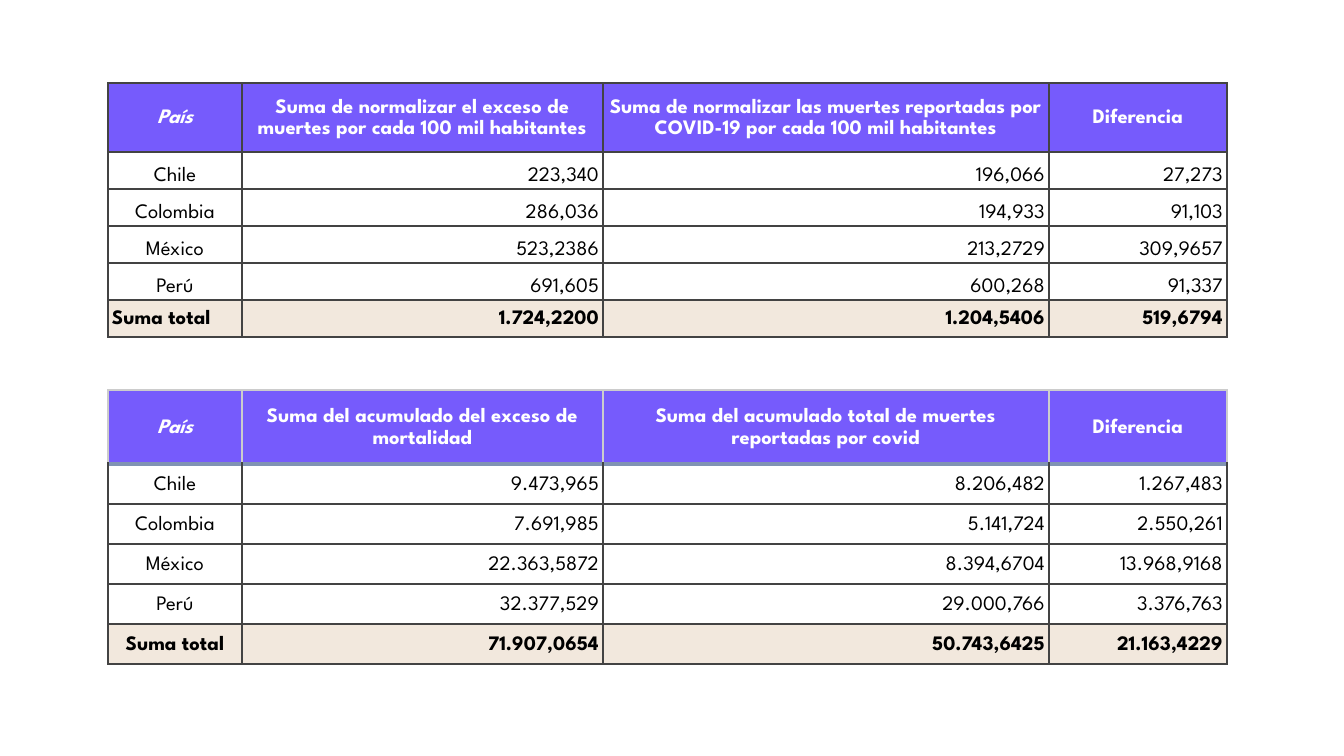
"""Build a slide with two tables comparing excess mortality and reported COVID-19 deaths."""
from dataclasses import dataclass

from lxml import etree
from pptx import Presentation
from pptx.dml.color import RGBColor
from pptx.enum.text import MSO_ANCHOR, PP_ALIGN
from pptx.oxml.ns import qn
from pptx.slide import Slide
from pptx.table import _Cell
from pptx.util import Emu, Pt

LEFT, CENTER, RIGHT = PP_ALIGN.LEFT, PP_ALIGN.CENTER, PP_ALIGN.RIGHT
MIDDLE, BOTTOM = MSO_ANCHOR.MIDDLE, MSO_ANCHOR.BOTTOM
EMU_PER_PX = 9144000 / 1344
SLIDE_W, SLIDE_H = 1344, 756
TABLE_X = 108
COL_WIDTHS = (134, 361, 446, 178)
INSET_X, INSET_Y = 4, 3


@dataclass(frozen=True)
class Theme:
    font: str = "League Spartan"
    size: int = 11
    line_spacing: float = 1.15
    header: str = "765BFC"
    header_text: str = "FFFFFF"
    body: str = "FFFFFF"
    total: str = "F2E8DD"
    text: str = "000000"
    grid: str = "434343"
    light_grid: str = "CCCCCC"
    divider: str = "8093B3"


@dataclass(frozen=True)
class Border:
    color: str
    width: int = 1


@dataclass(frozen=True)
class CountryTable:
    y: int
    header_h: int
    row_h: int
    rows: tuple[tuple[str, ...], ...]
    header_border: Border
    divider: Border
    body_anchor: MSO_ANCHOR
    total_align: PP_ALIGN


THEME = Theme()
GRID = Border(THEME.grid)
ACCUMULATED = CountryTable(
    y=390, header_h=74, row_h=40,
    rows=(
        ("País", "Suma del acumulado del exceso de mortalidad",
         "Suma del acumulado total de muertes reportadas por covid", "Diferencia"),
        ("Chile", "9.473,965", "8.206,482", "1.267,483"),
        ("Colombia", "7.691,985", "5.141,724", "2.550,261"),
        ("México", "22.363,5872", "8.394,6704", "13.968,9168"),
        ("Perú", "32.377,529", "29.000,766", "3.376,763"),
        ("Suma total", "71.907,0654", "50.743,6425", "21.163,4229"),
    ),
    header_border=Border(THEME.light_grid), divider=Border(THEME.divider, 2),
    body_anchor=MIDDLE, total_align=CENTER,
)
NORMALIZED = CountryTable(
    y=83, header_h=69, row_h=37,
    rows=(
        ("País", "Suma de normalizar el exceso de muertes por cada 100 mil habitantes",
         "Suma de normalizar las muertes reportadas por COVID-19 por cada 100 mil habitantes",
         "Diferencia"),
        ("Chile", "223,340", "196,066", "27,273"),
        ("Colombia", "286,036", "194,933", "91,103"),
        ("México", "523,2386", "213,2729", "309,9657"),
        ("Perú", "691,605", "600,268", "91,337"),
        ("Suma total", "1.724,2200", "1.204,5406", "519,6794"),
    ),
    header_border=GRID, divider=GRID,
    body_anchor=BOTTOM, total_align=LEFT,
)


def px(n: int) -> Emu:
    """Turn px into EMU."""
    return Emu(round(n * EMU_PER_PX))


def set_borders(cell: _Cell, sides: dict[str, Border]) -> None:
    """Add the left, right, top and bottom lines, in that order, before the fill."""
    tc_pr = cell._tc.get_or_add_tcPr()
    for i, (side, border) in enumerate(sides.items()):
        ln = etree.Element(qn(f"a:ln{side}"), w=str(Pt(border.width)))
        fill = etree.SubElement(ln, qn("a:solidFill"))
        etree.SubElement(fill, qn("a:srgbClr"), val=border.color)
        tc_pr.insert(i, ln)


def format_cell(cell: _Cell, fill: str, color: str, align: PP_ALIGN,
                anchor: MSO_ANCHOR, bold: bool, italic: bool) -> None:
    """Set the fill, insets and text format of one cell."""
    cell.fill.solid()
    cell.fill.fore_color.rgb = RGBColor.from_string(fill)
    cell.margin_left = cell.margin_right = px(INSET_X)
    cell.margin_top = cell.margin_bottom = px(INSET_Y)
    cell.vertical_anchor = anchor
    p = cell.text_frame.paragraphs[0]
    p.alignment = align
    p.line_spacing = THEME.line_spacing
    font = p.runs[0].font
    font.name, font.size = THEME.font, Pt(THEME.size)
    font.bold, font.italic = bold, italic
    font.color.rgb = RGBColor.from_string(color)


def draw_table(s: Slide, spec: CountryTable) -> None:
    """Draw a table with a header, one row per country and a total."""
    last = len(spec.rows) - 1
    heights = [spec.header_h] + [spec.row_h] * last
    table = s.shapes.add_table(
        len(spec.rows), len(COL_WIDTHS), px(TABLE_X), px(spec.y),
        px(sum(COL_WIDTHS)), px(sum(heights))).table
    table.first_row = table.horz_banding = False
    for col, width in zip(table.columns, COL_WIDTHS):
        col.width = px(width)
    for i, (row, height, texts) in enumerate(zip(table.rows, heights, spec.rows)):
        row.height = px(height)
        is_header, is_total = i == 0, i == last
        fill = THEME.header if is_header else THEME.total if is_total else THEME.body
        color = THEME.header_text if is_header else THEME.text
        anchor = MIDDLE if is_header or is_total else spec.body_anchor
        edge = spec.header_border if is_header else GRID
        sides = {"L": edge, "R": edge,
                 "T": spec.divider if i == 1 else edge,
                 "B": spec.divider if is_header else edge}
        for j, (cell, text) in enumerate(zip(row.cells, texts)):
            label_align = spec.total_align if is_total else CENTER
            align = label_align if is_header or j == 0 else RIGHT
            cell.text_frame.text = text
            format_cell(cell, fill, color, align, anchor,
                        bold=is_header or is_total, italic=is_header and j == 0)
            set_borders(cell, sides)


def main() -> None:
    """Build and save the slide."""
    prs = Presentation()
    prs.slide_width, prs.slide_height = px(SLIDE_W), px(SLIDE_H)
    s = prs.slides.add_slide(prs.slide_layouts[6])
    for spec in (ACCUMULATED, NORMALIZED):
        draw_table(s, spec)
    prs.save("out.pptx")


if __name__ == "__main__":
    main()
